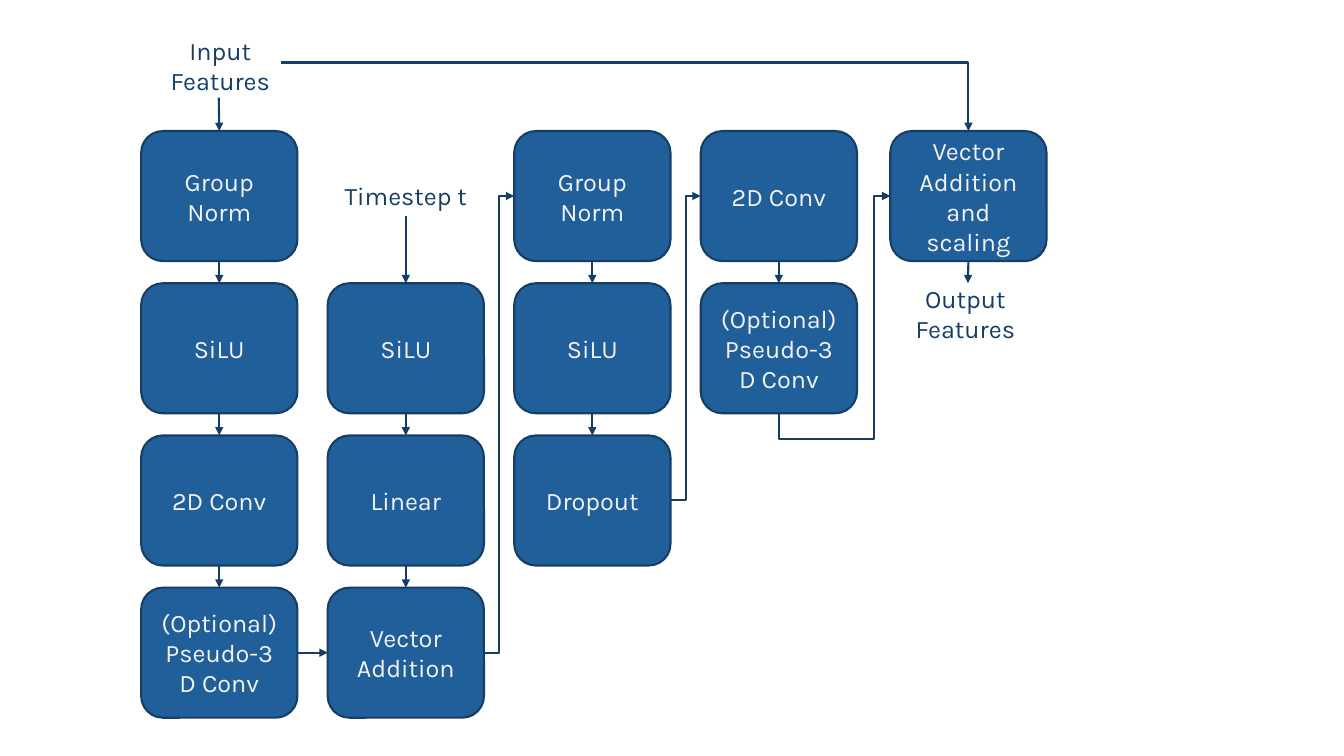
from lxml.etree import SubElement
from pptx import Presentation
from pptx.dml.color import RGBColor
from pptx.enum.shapes import MSO_CONNECTOR as Connector, MSO_SHAPE as Shape
from pptx.enum.text import MSO_ANCHOR as Anchor, PP_ALIGN as Align
from pptx.oxml.ns import qn
from pptx.util import Inches, Pt

NAVY = RGBColor(0x16, 0x3E, 0x64)
BLUE = RGBColor(0x21, 0x5F, 0x9A)
LIGHT = RGBColor(0xF2, 0xF2, 0xF2)

COLUMN_LEFTS = [1.4, 3.25, 5.1, 6.95, 8.83]
ROW_TOP, ROW_PITCH = 1.3, 1.51
BLOCK_WIDTH, BLOCK_HEIGHT = 1.55, 1.29
TOP, LEFT, BOTTOM, RIGHT = range(4)  # connection sites of a box

PSEUDO_3D = "(Optional)\vPseudo-3D Conv"
# For each column: its first row and its blocks from top to bottom
COLUMNS = [
    (0, ["Group\vNorm", "SiLU", "2D Conv", PSEUDO_3D]),
    (1, ["SiLU", "Linear", "Vector Addition"]),
    (0, ["Group Norm", "SiLU", "Dropout"]),
    (0, ["2D Conv", PSEUDO_3D]),
    (0, ["Vector Addition and scaling"]),
]


class Diagram:
    font_name = "Karla"
    font_size = Pt(18)
    line_width = Pt(1.5)

    def __init__(self, slide):
        self.slide = slide

    def set_text(self, shape, text, color):
        frame = shape.text_frame
        frame.word_wrap = True
        frame.text = text
        paragraph = frame.paragraphs[0]
        paragraph.alignment = Align.CENTER
        paragraph.font.name = self.font_name
        paragraph.font.size = self.font_size
        paragraph.font.color.rgb = color

    def block(self, text, column, row):
        shape = self.slide.shapes.add_shape(
            Shape.ROUNDED_RECTANGLE,
            Inches(COLUMN_LEFTS[column]), Inches(ROW_TOP + row * ROW_PITCH),
            Inches(BLOCK_WIDTH), Inches(BLOCK_HEIGHT))
        shape.shadow.inherit = False
        shape.fill.solid()
        shape.fill.fore_color.rgb = BLUE
        shape.line.color.rgb = NAVY
        shape.line.width = self.line_width
        shape.text_frame.vertical_anchor = Anchor.MIDDLE
        self.set_text(shape, text, LIGHT)
        return shape

    def label(self, text, left, top, height):
        box = self.slide.shapes.add_textbox(
            Inches(left), Inches(top), Inches(1.95), Inches(height))
        self.set_text(box, text, NAVY)
        return box

    def arrow(self, start, end, kind=Connector.STRAIGHT, preset=None,
              adjustments=(), arrowhead="tailEnd"):
        """Join two ends, each a (shape, site) pair or an (x, y) point in inches."""
        connector = self.slide.shapes.add_connector(kind, 0, 0, 0, 0)
        if isinstance(start[0], (int, float)):
            connector.begin_x, connector.begin_y = map(Inches, start)
        else:
            connector.begin_connect(*start)
        if isinstance(end[0], (int, float)):
            connector.end_x, connector.end_y = map(Inches, end)
        else:
            connector.end_connect(*end)
        connector.line.color.rgb = NAVY
        connector.line.width = self.line_width
        properties = connector._element.spPr
        SubElement(properties.find(qn("a:ln")), qn("a:" + arrowhead), type="triangle")
        SubElement(properties, qn("a:effectLst"))
        geometry = properties.find(qn("a:prstGeom"))
        if preset:
            geometry.set("prst", preset)
        for number, value in enumerate(adjustments, 1):
            SubElement(geometry.find(qn("a:avLst")), qn("a:gd"),
                       name=f"adj{number}", fmla=f"val {round(value * 100000)}")


def main():
    presentation = Presentation()
    presentation.slide_width = Inches(13.33)
    presentation.slide_height = Inches(7.5)
    diagram = Diagram(presentation.slides.add_slide(presentation.slide_layouts[6]))

    columns = [
        [diagram.block(text, column, row) for row, text in enumerate(texts, first_row)]
        for column, (first_row, texts) in enumerate(COLUMNS)
    ]
    for blocks in columns:
        for upper, lower in zip(blocks, blocks[1:]):
            diagram.arrow((upper, BOTTOM), (lower, TOP))

    features, timestep, normalised, convolved, (scaling,) = columns
    diagram.label("Input\vFeatures", 1.21, 0.3, 0.71)
    timestep_label = diagram.label("Timestep t", 3.05, 1.74, 0.4)
    diagram.label("Output Features", 8.6, 2.76, 0.71)

    diagram.arrow((2.17, 0.97), (features[0], TOP))
    diagram.arrow((timestep_label, BOTTOM), (timestep[0], TOP))
    diagram.arrow((features[-1], RIGHT), (timestep[-1], LEFT))
    diagram.arrow((scaling, BOTTOM), (9.6, 2.81))

    for source, target in [(timestep, normalised), (normalised, convolved)]:
        diagram.arrow((source[-1], RIGHT), (target[0], LEFT), Connector.ELBOW)
    diagram.arrow((2.79, 0.62), (scaling, TOP), Connector.ELBOW, "bentConnector2")
    # Runs from the arrowhead back to its source, so that it leaves sideways
    diagram.arrow((scaling, LEFT), (convolved[-1], BOTTOM), Connector.ELBOW,
                  "bentConnector4", (0.15, 1.12), "headEnd")

    presentation.save("out.pptx")


if __name__ == "__main__":
    main()
